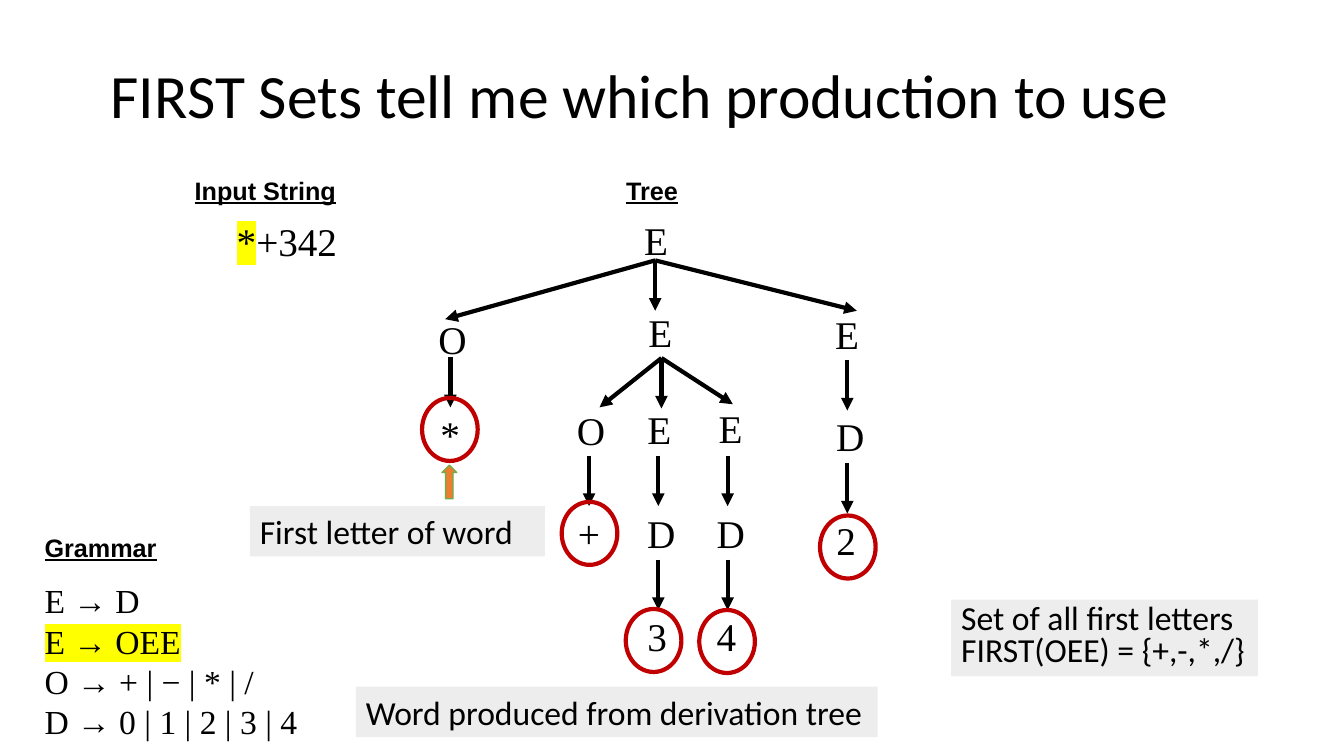
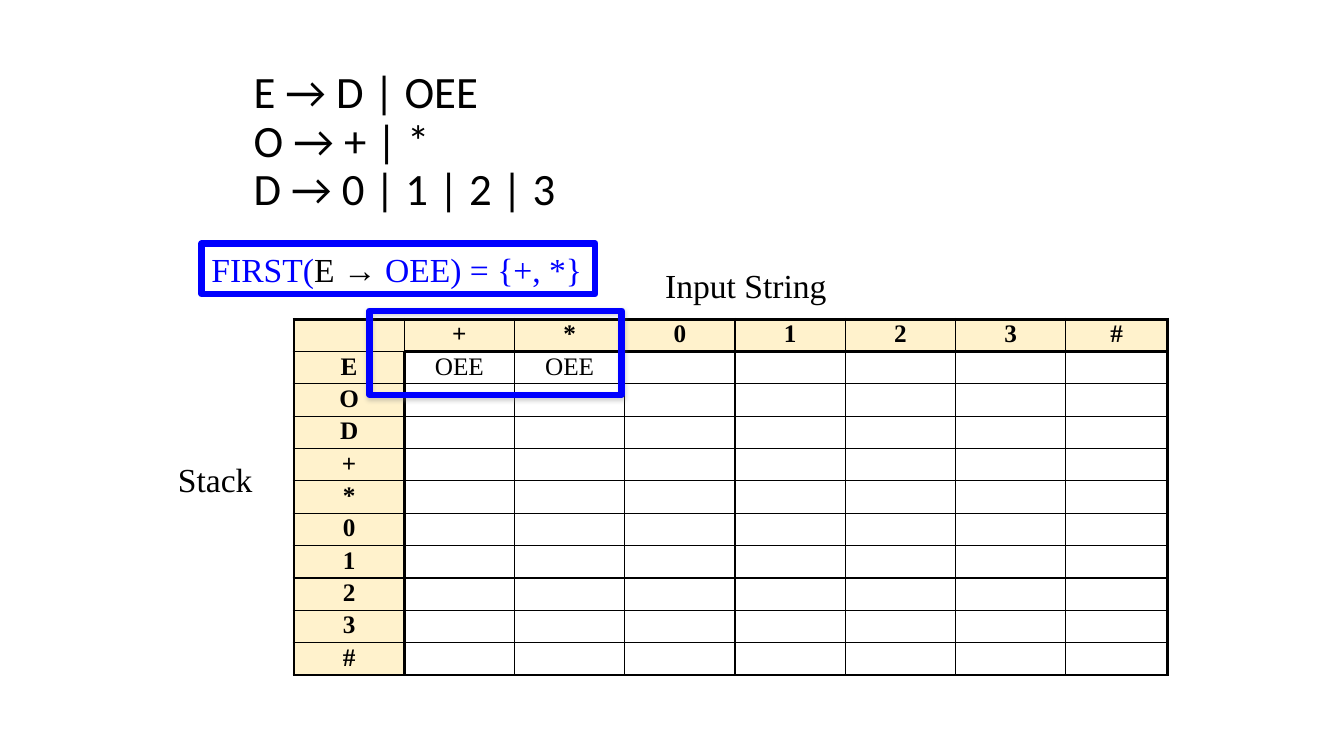
import lxml.etree
import pptx
import pptx.dml.color
import pptx.enum.shapes
import pptx.enum.text
import pptx.oxml.ns
import pptx.util

RGB = pptx.dml.color.RGBColor
SHAPE = pptx.enum.shapes.MSO_SHAPE
ANCHOR = pptx.enum.text.MSO_ANCHOR
qn = pptx.oxml.ns.qn

# Shared look
BLACK = RGB(0, 0, 0)
RED = RGB(0xC0, 0, 0)
BLUE = RGB(0, 0, 0xFF)
GREY = RGB(0xED, 0xED, 0xED)
CREAM = RGB(0xFF, 0xF2, 0xCC)
ORANGE = RGB(0xED, 0x7D, 0x31)
GREEN = RGB(0x70, 0xAD, 0x47)
YELLOW = RGB(0xFF, 0xFF, 0)

TITLE = {"name": "Calibri", "size": 44}
RULES_TITLE = {"name": "Calibri", "size": 32}
HEADING = {"name": "Arial", "size": 18, "bold": True, "underline": True}
SYMBOL = {"name": "Times New Roman", "size": 28}
SERIF = {"name": "Times New Roman", "size": 24}
CALLOUT = {"name": "Calibri", "size": 24}
CELL = {"name": "Times New Roman", "size": 18}
MARKED = {"highlight": YELLOW}
IN_BLUE = {"color": BLUE}

# Slide 1 content: boxes are (left, top, width, height) in px
DERIVATION_TITLE = "FIRST Sets tell me which production to use"
HEADINGS = [
    ("Input String", (176, 162, 156, 38)),
    ("Grammar", (33, 502, 127, 38)),
    ("Tree", (587, 162, 69, 38)),
]
INPUT_WORD = [("*", MARKED), ("+342", {})]
GRAMMAR = ["E → D", [("E → OEE", MARKED)], "O → + | − | * | /", "D → 0 | 1 | 2 | 3 | 4"]

SYMBOL_WIDTHS = {"E": 42, "O": 47, "D": 47, "+": 40}
DIGIT_WIDTH, SYMBOL_HEIGHT = 38, 55
TREE_SYMBOLS = [
    ("E", 604, 201),
    ("O", 408, 296), ("E", 608, 289), ("E", 786, 291),
    ("*", 410, 386), ("O", 540, 382), ("E", 607, 381), ("E", 675, 380), ("D", 787, 388),
    ("+", 541, 480), ("D", 607, 480), ("D", 673, 480), ("2", 787, 487),
    ("3", 607, 578), ("4", 673, 578),
]
BRANCHES = {
    (624, 248): [(424, 304), (624, 296), (816, 296)],
    (630, 341): [(571, 388), (630, 389), (698, 385)],
}
DROP = 48
DROP_STARTS = [(429, 340), (561, 434), (627, 434), (693, 434),
               (627, 533), (693, 533), (807, 343), (807, 441)]
RING_SIZE = (53, 60)
RINGS = [(402, 379), (535, 478), (596, 580), (666, 581), (781, 491)]
CALLOUTS = [
    (["Set of all first letters", "FIRST(OEE) = {+,-,*,/}"], (906, 571, 292, 73), 0.8),
    (["Word produced from derivation tree"], (339, 654, 497, 48), 1),
    (["First letter of word"], (238, 482, 281, 48), 1),
]
POINTER = (421, 443, 14, 32)

# Slide 2 content
RULES = ["E → D | OEE", "O → + | *", "D → 0 | 1 | 2 | 3"]
INPUT_SYMBOLS = ["+", "*", "0", "1", "2", "3", "#"]
STACK_SYMBOLS = ["E", "O", "D"] + INPUT_SYMBOLS
ENTRIES = {("E", "+"): "OEE", ("E", "*"): "OEE"}
PARSE_TABLE = (280, 304, 832, 338)
COLUMN, LAST_COLUMN = 105, 97
THIN, THICK = 1, 2.25
AXIS_LABELS = [("Stack", (160, 432, 120, 48)), ("Input String", (624, 248, 208, 48))]
FIRST_SET = [("FIRST(", IN_BLUE), ("E → ", {}), ("OEE) = {+, *}", IN_BLUE)]
FIRST_BOX = (192, 232, 375, 48)
ENTRY_FRAME = (352, 296, 240, 80)


def px(length):
    return pptx.util.Emu(round(length * 9525))


def place(lengths):
    return [px(length) for length in lengths]


def add_xml(parent, tag, **attributes):
    return lxml.etree.SubElement(parent, qn(tag), attributes)


# Text
def format_run(run, style):
    values = {"color": BLACK, **style}
    run.font.fill.solid()
    run.font.fill.fore_color.rgb = values.pop("color")
    highlight = values.pop("highlight", None)
    values["size"] = pptx.util.Pt(values["size"])
    if highlight is not None:
        mark = lxml.etree.Element(qn("a:highlight"))
        add_xml(mark, "a:srgbClr", val=str(highlight))
        run.font._element.find(qn("a:solidFill")).addnext(mark)
    for attribute, value in values.items():
        setattr(run.font, attribute, value)


def write(frame, lines, style, align=pptx.enum.text.PP_ALIGN.LEFT, spacing=1):
    """Each line is a string or a list of (text, style changes)."""
    for i, line in enumerate(lines):
        paragraph = frame.add_paragraph() if i else frame.paragraphs[0]
        paragraph.alignment = align
        paragraph.line_spacing = spacing
        for text, changes in [(line, {})] if isinstance(line, str) else line:
            run = paragraph.add_run()
            run.text = text
            format_run(run, {**style, **changes})


def add_text(slide, box, lines, style, wrap=False, anchor=ANCHOR.TOP, spacing=1):
    frame = slide.shapes.add_textbox(*place(box)).text_frame
    frame.word_wrap = wrap
    frame.vertical_anchor = anchor
    write(frame, lines, style, spacing=spacing)


def add_title(slide, box, lines, style):
    add_text(slide, box, lines, style, wrap=True, anchor=ANCHOR.MIDDLE, spacing=0.9)


# Shapes
def add_figure(slide, kind, box, fill=None, line=None, width=1):
    figure = slide.shapes.add_shape(kind, *place(box))
    figure.shadow.inherit = False
    for part, color in ((figure.fill, fill), (figure.line.fill, line)):
        if color is None:
            part.background()
        else:
            part.solid()
            part.fore_color.rgb = color
    if line is not None:
        figure.line.width = pptx.util.Pt(width)
    return figure


def add_label_box(slide, box, lines, style, spacing=1, **look):
    frame = add_figure(slide, SHAPE.RECTANGLE, box, **look).text_frame
    frame.word_wrap = False
    frame.vertical_anchor = ANCHOR.TOP
    write(frame, lines, style, spacing=spacing)


def add_arrow(slide, start, end):
    arrow = slide.shapes.add_connector(
        pptx.enum.shapes.MSO_CONNECTOR.STRAIGHT, *place(start + end))
    arrow.line.color.rgb = BLACK
    arrow.line.width = pptx.util.Pt(3)
    properties = arrow._element.spPr
    add_xml(properties.find(qn("a:ln")), "a:tailEnd", type="triangle")
    add_xml(properties, "a:effectLst")


def add_soft_shadow(figure):
    effects = figure._element.spPr.find(qn("a:effectLst"))
    shadow = add_xml(effects, "a:outerShdw", blurRad="39370", dist="22860",
                     dir="5400000", rotWithShape="0")
    add_xml(add_xml(shadow, "a:srgbClr", val="808080"), "a:alpha", val="35000")


# Table
def set_borders(cell, widths):
    properties = cell._tc.get_or_add_tcPr()
    for i, (side, width) in enumerate(widths.items()):
        border = lxml.etree.Element(qn("a:ln" + side), w=str(pptx.util.Pt(width)))
        add_xml(add_xml(border, "a:solidFill"), "a:srgbClr", val=str(BLACK))
        properties.insert(i, border)


def add_parse_table(slide):
    rows = [[""] + INPUT_SYMBOLS]
    rows += [[s] + [ENTRIES.get((s, i), "") for i in INPUT_SYMBOLS] for s in STACK_SYMBOLS]
    last_row, last_col = len(rows) - 1, len(INPUT_SYMBOLS)
    table = slide.shapes.add_table(last_row + 1, last_col + 1, *place(PARSE_TABLE)).table
    table.first_row = table.horz_banding = False
    for c, column in enumerate(table.columns):
        column.width = px(LAST_COLUMN if c == last_col else COLUMN)
    for r, row in enumerate(rows):
        for c, text in enumerate(row):
            cell = table.cell(r, c)
            is_header = r == 0 or c == 0
            cell.margin_top = cell.margin_bottom = px(1)
            if text:
                write(cell.text_frame, [text], {**CELL, "bold": is_header},
                      align=pptx.enum.text.PP_ALIGN.CENTER)
            else:
                cell.text_frame.paragraphs[0]._p.get_or_add_endParaRPr().set("sz", "1200")
            if is_header:
                cell.fill.solid()
                cell.fill.fore_color.rgb = CREAM
            else:
                cell.fill.background()
            thick = {
                "L": c == 0 or (c == 1 and r > 0),
                "R": c == last_col or (c == 0 and r > 0),
                "T": r == 0 or (r == 1 and c > 0),
                "B": r == last_row or (r == 0 and c > 0),
            }
            set_borders(cell, {side: THICK if on else THIN for side, on in thick.items()})


def build_derivation(slide):
    add_title(slide, (96, 34, 1088, 120), [DERIVATION_TITLE], TITLE)
    add_text(slide, (216, 202, 115, 55), [INPUT_WORD], SYMBOL)
    for heading, box in HEADINGS:
        add_text(slide, box, [heading], HEADING)
    add_text(slide, (33, 548, 280, 165), GRAMMAR, SERIF, wrap=True)

    # Derivation tree
    for symbol, left, top in TREE_SYMBOLS:
        width = SYMBOL_WIDTHS.get(symbol, DIGIT_WIDTH)
        add_text(slide, (left, top, width, SYMBOL_HEIGHT), [symbol], SYMBOL)
    for start, ends in BRANCHES.items():
        for end in ends:
            add_arrow(slide, start, end)
    for x, y in DROP_STARTS:
        add_arrow(slide, (x, y), (x, y + DROP))
    for corner in RINGS:
        add_figure(slide, SHAPE.OVAL, corner + RING_SIZE, line=RED, width=3)

    # Callouts
    for lines, box, spacing in CALLOUTS:
        add_label_box(slide, box, lines, CALLOUT, spacing, fill=GREY)
    add_figure(slide, SHAPE.UP_ARROW, POINTER, fill=ORANGE, line=GREEN)


def build_parse_table(slide):
    add_title(slide, (232, 40, 448, 192), RULES, RULES_TITLE)
    add_parse_table(slide)
    for label, box in AXIS_LABELS:
        add_text(slide, box, [label], SERIF, wrap=True)
    add_label_box(slide, FIRST_BOX, [FIRST_SET], SERIF, line=BLUE, width=4.5)
    add_soft_shadow(add_figure(slide, SHAPE.RECTANGLE, ENTRY_FRAME, line=BLUE, width=4.5))


def main():
    deck = pptx.Presentation()
    deck.slide_width, deck.slide_height = place((1280, 720))
    for build in (build_derivation, build_parse_table):
        build(deck.slides.add_slide(deck.slide_layouts[6]))
    deck.save("out.pptx")


if __name__ == "__main__":
    main()
